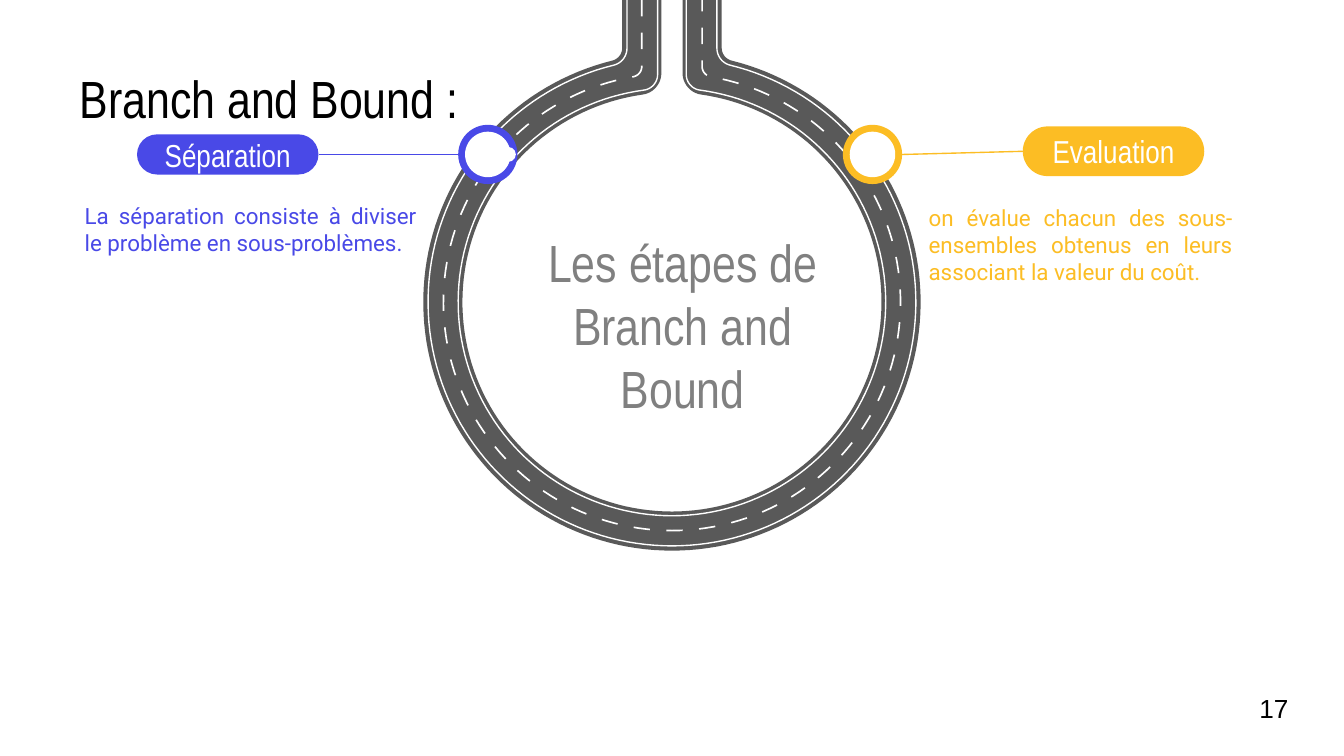
from math import atan2, cos, pi, sin, sqrt

from lxml import etree
from pptx import Presentation
from pptx.dml.color import RGBColor
from pptx.enum.shapes import MSO_CONNECTOR, MSO_SHAPE
from pptx.enum.text import MSO_ANCHOR as ANCHOR, MSO_AUTO_SIZE as AUTO, PP_ALIGN as ALIGN
from pptx.oxml.ns import qn
from pptx.util import Cm, Pt

ASPHALT = RGBColor(0x59, 0x59, 0x59)
WHITE = RGBColor(0xFF, 0xFF, 0xFF)
BLACK = RGBColor(0, 0, 0)
GREY = RGBColor(0x80, 0x80, 0x80)
BLUE = RGBColor(0x49, 0x49, 0xE7)
YELLOW = RGBColor(0xFC, 0xBD, 0x24)

NARROW = "Arial Narrow"
CENTER_X, CENTER_Y = 12.7, 5.71  # middle of the roundabout, in cm
RING_Y = 2.92


def format_text(sp, text, size, font, color, align, inset=0.25):
    tf = sp.text_frame
    tf.text = text
    tf.word_wrap = True
    tf.auto_size = AUTO.NONE
    tf.margin_left = tf.margin_right = Cm(0.25)
    tf.margin_top = tf.margin_bottom = Cm(inset)
    p = tf.paragraphs[0]
    p.alignment = align
    r = p.runs[0]
    r.font.size, r.font.name = Pt(size), font
    r.font.color.rgb = color


def add_text(s, box, *style, **options):
    sp = s.shapes.add_textbox(*map(Cm, box))
    format_text(sp, *style, **options)


def add_filled(s, kind, box, color):
    sp = s.shapes.add_shape(kind, *map(Cm, box))
    sp.shadow.inherit = False
    sp.fill.solid()
    sp.fill.fore_color.rgb = color
    sp.line.fill.background()
    return sp


def add_disc(s, x, y, diameter, color):
    box = (x - diameter / 2, y - diameter / 2, diameter, diameter)
    add_filled(s, MSO_SHAPE.OVAL, box, color)


def arc(x, y, radius, start, end, steps):
    angles = [start + (end - start) * i / steps for i in range(steps + 1)]
    return [(x + radius * cos(a), y + radius * sin(a)) for a in angles]


def keyhole(radius, half_neck, fillet):
    """Points of a circle that opens at the top into a neck with rounded corners."""
    dx = half_neck + fillet
    dy = sqrt((radius + fillet) ** 2 - dx ** 2)
    turn = atan2(dy, dx)
    left = [(-half_neck, -CENTER_Y)] + arc(-dx, -dy, fillet, 0, turn, 12)
    right = [(-x, y) for x, y in reversed(left)]
    points = left + arc(0, 0, radius, pi + turn, -turn, 160) + right
    return [(Cm(CENTER_X + x), Cm(CENTER_Y + y)) for x, y in points]


def add_outline(s, points, close):
    builder = s.shapes.build_freeform(*points[0])
    builder.add_line_segments(points[1:], close=close)
    sp = builder.convert_to_shape()
    sp.shadow.inherit = False
    return sp


def add_road_line(s, points, width, dashed=False):
    sp = add_outline(s, points, close=False)
    sp.fill.background()
    sp.line.color.rgb = WHITE
    sp.line.width = Pt(width)
    if dashed:
        # Dash and gap are both ten line widths long
        dash = etree.SubElement(sp.line._get_or_add_ln(), qn("a:custDash"))
        etree.SubElement(dash, qn("a:ds"), d="1000000", sp="1000000")


def add_road(s):
    surface = keyhole(4.7, 0.94, 0.25) + keyhole(3.96, 0.2, 0.41)[::-1]
    sp = add_outline(s, surface, close=True)
    sp.fill.solid()
    sp.fill.fore_color.rgb = ASPHALT
    sp.line.fill.background()
    add_road_line(s, keyhole(4.32, 0.57, 0.2), 0.88, dashed=True)
    add_road_line(s, keyhole(4.61, 0.85, 0.33), 0.75)
    add_road_line(s, keyhole(4.04, 0.27, 0.3), 0.75)


def add_step(s, label, text, color, ring_x, pill_box, text_box):
    # Ring on the road
    add_disc(s, ring_x, RING_Y, 1.12, color)
    add_disc(s, ring_x, RING_Y, 0.86, WHITE)
    # Description and label
    add_text(s, text_box, text, 12, "Roboto", color, ALIGN.JUSTIFY)
    pill = add_filled(s, MSO_SHAPE.ROUNDED_RECTANGLE, pill_box, color)
    pill.adjustments[0] = 0.5
    format_text(pill, label, 17, NARROW, WHITE, ALIGN.CENTER)
    pill.text_frame.vertical_anchor = ANCHOR.MIDDLE
    # Line from the label to the near edge of the ring
    on_left = pill_box[0] < ring_x
    edge = Cm(ring_x + (-0.56 if on_left else 0.56))
    line = s.shapes.add_connector(MSO_CONNECTOR.STRAIGHT, 0, 0, edge, Cm(RING_Y))
    line.begin_connect(pill, 3 if on_left else 1)
    line.line.color.rgb = color
    line.line.width = Pt(0.75)
    etree.SubElement(line._element.spPr, qn("a:effectLst"))


def add_title(s, text):
    sp = s.shapes.title
    sp.left, sp.top, sp.width, sp.height = map(Cm, (9.75, 5.03, 6.3, 2.21))
    format_text(sp, text, 28, NARROW, GREY, ALIGN.CENTER)
    sp.text_frame.vertical_anchor = ANCHOR.MIDDLE


def main():
    prs = Presentation()
    prs.slide_width, prs.slide_height = Cm(25.4), Cm(14.29)
    s = prs.slides.add_slide(prs.slide_layouts[5])

    add_title(s, "Les étapes de Branch and Bound")
    add_road(s)

    # The two steps
    add_step(s, "Evaluation",
             "on évalue chacun des sous- ensembles obtenus en leurs associant la valeur du coût.",
             YELLOW, 16.49, (19.33, 2.39, 3.43, 0.94), (17.3, 3.61, 6.25, 2.9))
    add_step(s, "Séparation",
             "La séparation consiste à diviser le problème en sous-problèmes.",
             BLUE, 9.22, (2.59, 2.54, 3.43, 0.76), (1.35, 3.58, 6.78, 5.46))
    add_disc(s, 9.61, RING_Y, 0.28, WHITE)

    # Heading and page number
    add_text(s, (-1.27, 1.12, 12.7, 1.45), "Branch and Bound :",
             28, NARROW, BLACK, ALIGN.CENTER, inset=0.13)
    add_text(s, (23.55, 12.95, 1.52, 1.09), "17",
             14, "Arial", BLACK, ALIGN.LEFT, inset=0.13)

    prs.save("out.pptx")


if __name__ == "__main__":
    main()
